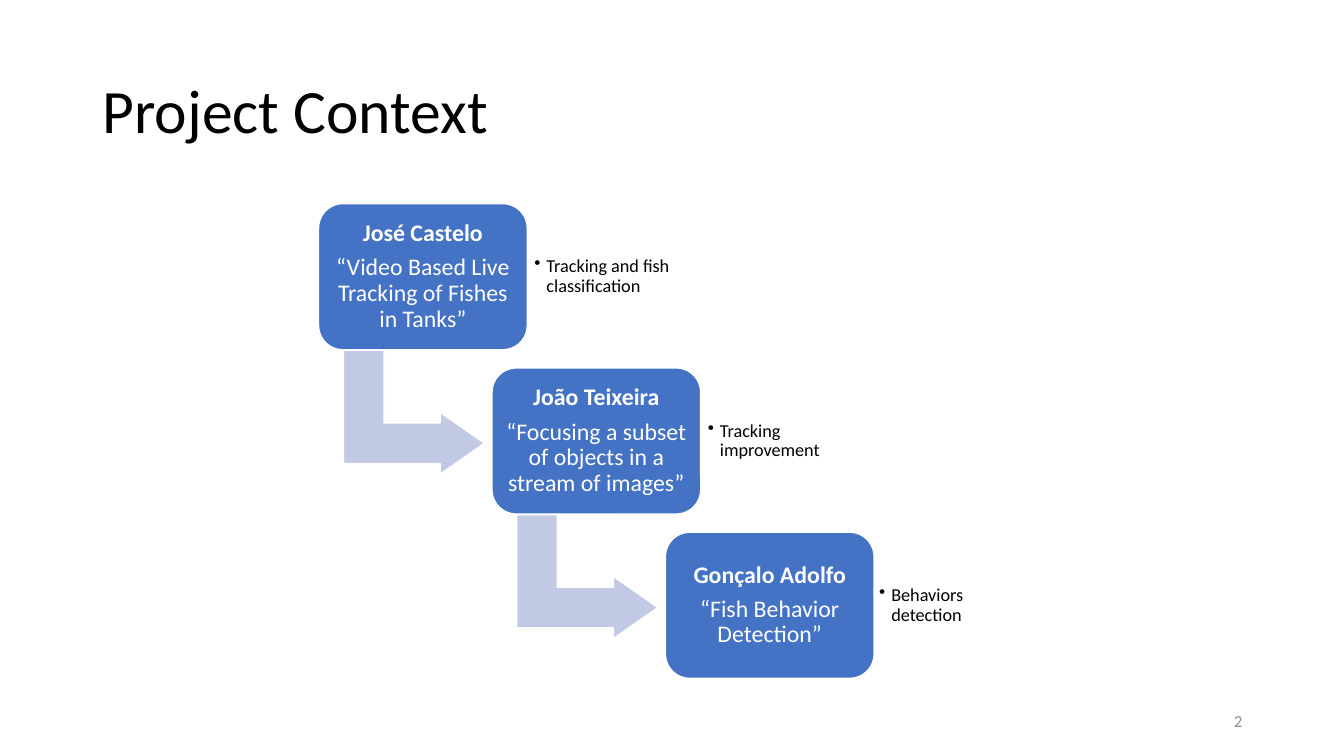
from lxml.etree import SubElement
from pptx import Presentation
from pptx.dml.color import RGBColor
from pptx.enum.shapes import MSO_SHAPE
from pptx.enum.text import MSO_ANCHOR, PP_ALIGN
from pptx.oxml.ns import qn
from pptx.util import Inches, Pt

BLACK = RGBColor(0, 0, 0)
WHITE = RGBColor(255, 255, 255)
BLUE = RGBColor(0x44, 0x72, 0xC4)
PALE_BLUE = RGBColor(0xC1, 0xC9, 0xE4)
GRAY = RGBColor(0x8C, 0x8C, 0x8C)

CARD_WIDTH, CARD_HEIGHT = 2.07, 1.45
STEP_RIGHT, STEP_DOWN = 1.72, 1.63

STAGES = [
    ("José Castelo", "“Video Based Live Tracking of Fishes in Tanks”",
     "Tracking and fish classification", 0.07),
    ("João Teixeira", "“Focusing a subset of objects in a stream of images”",
     "Tracking improvement", 0.07),
    ("Gonçalo Adolfo", "“Fish Behavior Detection”",
     "Behaviors detection", 0.05),
]


def set_frame(shape, inset_x, inset_y):
    frame = shape.text_frame
    frame.word_wrap = True
    frame.vertical_anchor = MSO_ANCHOR.MIDDLE
    frame.margin_left = frame.margin_right = Inches(inset_x)
    frame.margin_top = frame.margin_bottom = Inches(inset_y)
    return frame


def set_para(para, text, size, color, align=PP_ALIGN.LEFT, spacing=0.9, after=0, bold=False):
    para.text = text
    para.alignment = align
    para.line_spacing = spacing
    para.space_after = Pt(after)
    font = para.font
    font.name = "Calibri"
    font.size = Pt(size)
    font.bold = bold
    font.color.rgb = color


def add_text(page, box, text, size, color, align=PP_ALIGN.LEFT, spacing=0.9):
    shape = page.shapes.add_textbox(*map(Inches, box))
    set_para(set_frame(shape, 0.1, 0.05).paragraphs[0], text, size, color, align, spacing)


def add_filled_shape(page, kind, box, color, adjustments):
    shape = page.shapes.add_shape(kind, *map(Inches, box))
    shape.shadow.inherit = False
    shape.fill.solid()
    shape.fill.fore_color.rgb = color
    shape.line.color.rgb = WHITE
    shape.line.width = Pt(1)
    for index, value in enumerate(adjustments):
        shape.adjustments[index] = value
    return shape


def add_arrow(page, left, top):
    arrow = add_filled_shape(page, MSO_SHAPE.BENT_UP_ARROW,
                             (left + 0.33, top + 1.37, 1.23, 1.4),
                             PALE_BLUE, (0.328, 0.25, 0.358))
    arrow.rotation = 90


def add_card(page, left, top, author, thesis):
    card = add_filled_shape(page, MSO_SHAPE.ROUNDED_RECTANGLE,
                            (left, top, CARD_WIDTH, CARD_HEIGHT), BLUE, (0.167,))
    frame = set_frame(card, 0.07, 0.07)
    set_para(frame.paragraphs[0], author, 17, WHITE, PP_ALIGN.CENTER, after=6, bold=True)
    set_para(frame.add_paragraph(), thesis, 17, WHITE, PP_ALIGN.CENTER, after=6)


def add_topic(page, left, top, topic, inset):
    shape = page.shapes.add_textbox(Inches(left + CARD_WIDTH), Inches(top + 0.14),
                                    Inches(1.51), Inches(1.17))
    para = set_frame(shape, inset, inset).paragraphs[0]
    properties = para._p.get_or_add_pPr()
    properties.set("marL", str(Inches(0.12)))
    properties.set("indent", str(Inches(-0.12)))
    SubElement(properties, qn("a:buChar")).set("char", "•")
    set_para(para, topic, 13, BLACK, after=2)


def add_staircase(page, left, top):
    for index, (author, thesis, topic, inset) in enumerate(STAGES):
        card_left = left + index * STEP_RIGHT
        card_top = top + index * STEP_DOWN
        if index < len(STAGES) - 1:
            add_arrow(page, card_left, card_top)
        add_card(page, card_left, card_top, author, thesis)
        add_topic(page, card_left, card_top, topic, inset)


def main():
    deck = Presentation()
    deck.slide_width, deck.slide_height = Inches(13.33), Inches(7.5)
    page = deck.slides.add_slide(deck.slide_layouts[6])
    add_text(page, (0.92, 0.4, 11.5, 1.45), "Project Context", 44, BLACK)
    add_staircase(page, 3.16, 2.02)
    add_text(page, (9.42, 6.95, 3, 0.4), "2", 12, GRAY, PP_ALIGN.RIGHT, 1.0)
    deck.save("out.pptx")


if __name__ == "__main__":
    main()
